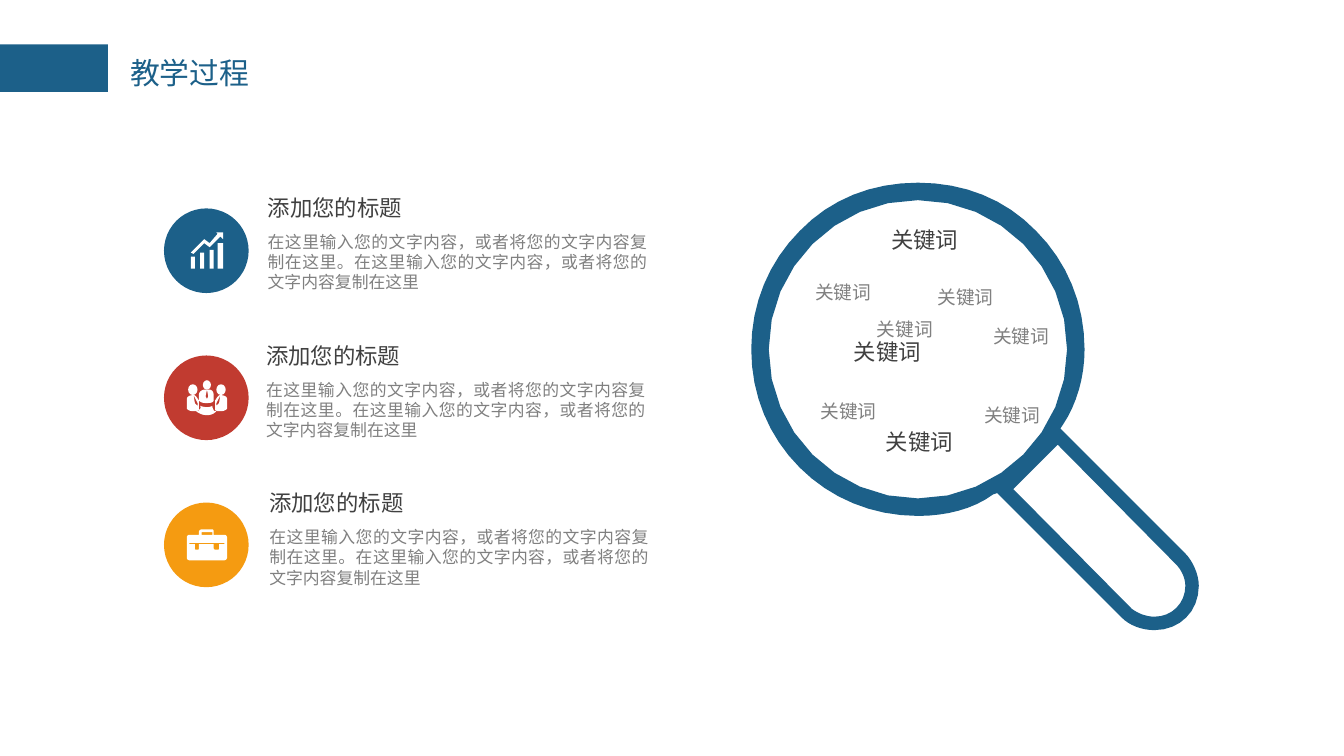
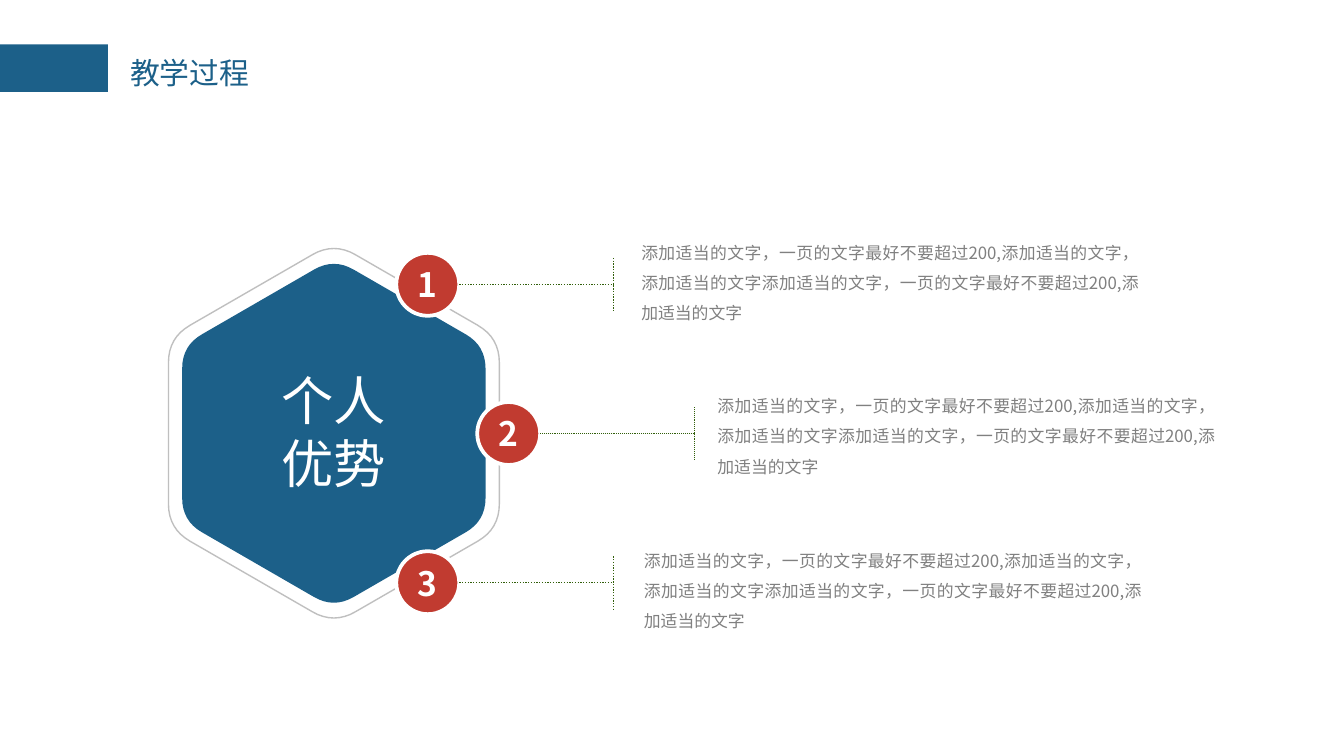
from math import cos, pi, sin

from lxml.etree import SubElement
from pptx import Presentation
from pptx.dml.color import RGBColor
from pptx.enum.dml import MSO_LINE
from pptx.enum.shapes import MSO_CONNECTOR, MSO_SHAPE
from pptx.enum.text import MSO_ANCHOR, MSO_AUTO_SIZE, PP_ALIGN
from pptx.oxml.ns import qn
from pptx.util import Cm, Pt

COLORS = {
    "blue": "1C6089", "red": "C13B30", "orange": "F59B11", "white": "FFFFFF",
    "dark": "404040", "grey": "808080", "outline": "BFBFBF", "green": "325F0B",
}
CJK_FONT = "Noto Sans CJK SC"
CURVE_STEPS = 8

ITEM_TITLE = "添加您的标题"
ITEM_TEXT = "在这里输入您的文字内容，或者将您的文字内容复制在这里"
ADVICE = "添加适当的文字，一页的文字最好不要超过200,添加适当的文字"

# Outlines are drawn on a grid of hundredths of an inch.
MAGNIFIER = """M 859 469 C 849 469 840 465 835 460 L 742 367 L 739 368
C 724 379 704 384 683 384 C 649 384 618 371 595 348 C 572 325 559 294 559 260
C 559 226 572 195 595 172 C 618 148 649 136 683 136 C 717 136 748 148 771 172
C 794 195 807 226 807 260 C 807 281 801 301 791 316 L 789 319 L 882 412
C 887 417 892 427 892 436 C 892 455 878 469 859 469
M 754 364 L 842 453 C 846 456 852 459 859 459 C 872 459 882 449 882 436
C 882 429 878 423 875 420 L 787 331
M 683 149 C 622 149 572 199 572 260 C 572 321 622 371 683 371
C 744 371 794 321 794 260 C 794 199 744 149 683 149"""
GROWTH_ARROW = """M 161 173 L 162 174 L 156 181 L 152 178 L 142 188 L 144 189
L 152 181 L 156 184 L 164 176 L 166 178 L 166 173"""
GROWTH_BARS = [(142, 191, 145), (149, 188, 152), (156, 186, 159), (162, 181, 166)]
BRIEFCASE = """M 167 405 L 163 405 L 163 408 C 163 409 163 409 162 409 L 160 409
C 160 409 159 409 159 408 L 159 405 L 148 405 L 148 408 C 148 409 148 409 147 409
L 146 409 C 145 409 145 409 145 408 L 145 405 L 141 405 L 141 404 L 167 404
M 150 396 L 158 396 L 158 398 L 150 398
M 167 398 L 159 398 L 159 396 C 159 395 159 394 158 394 L 150 394
C 149 394 148 395 148 396 L 148 398 L 141 398 C 140 398 139 399 139 400 L 139 415
C 139 416 140 417 141 417 L 167 417 C 168 417 169 416 169 415 L 169 400
C 169 399 168 398 167 398"""
SIDE_PERSON = """M 164 294 L 163 300 L 161 302 L 161 300 L 164 294
C 162 294 161 297 160 298 L 160 305 C 161 306 162 306 164 306
C 168 306 169 304 169 304 L 169 297 C 169 294 164 294 164 294"""
MIDDLE_PERSON = """M 153 300 L 154 300 C 158 300 159 299 159 298 L 159 294
C 159 291 157 290 156 290 L 154 290 L 155 295 L 154 297 L 153 295 L 154 290
L 152 290 C 151 290 148 291 148 294 L 148 298 C 148 298 149 300 153 300"""
TABLE = """M 159 305 C 158 304 158 302 158 302 C 158 302 157 303 154 303
C 151 303 149 302 149 302 C 149 302 150 304 148 305 C 148 306 147 306 146 306
C 146 306 149 309 154 309 C 159 309 161 306 161 306 C 160 306 159 306 159 305"""
MEETING_AXIS = 154


def grid(value):
    return Cm(value * 2.54 / 100)


def bezier(points):
    """Sample a quadratic or cubic curve, leaving out its first point."""
    samples = []
    for step in range(1, CURVE_STEPS + 1):
        level, t = points, step / CURVE_STEPS
        while len(level) > 1:
            level = [((1 - t) * ax + t * bx, (1 - t) * ay + t * by)
                     for (ax, ay), (bx, by) in zip(level, level[1:])]
        samples += level
    return samples


def contours(outline, mirror=None):
    """Turn M, L and C commands into closed rings of slide points."""
    rings, tokens = [], iter(outline.split())
    for command in tokens:
        count = 3 if command == "C" else 1
        points = [(int(next(tokens)), int(next(tokens))) for _ in range(count)]
        if command == "M":
            rings.append(points)
        elif command == "L":
            rings[-1] += points
        else:
            rings[-1] += bezier([rings[-1][-1]] + points)
    return [[(grid(2 * mirror - x if mirror else x), grid(y)) for x, y in ring]
            for ring in rings]


def rounded_hexagon(center_x, center_y, radius):
    corners = [(center_x + radius * sin(k * pi / 3), center_y - radius * cos(k * pi / 3))
               for k in range(6)]
    ring = []
    for k, (x, y) in enumerate(corners):
        before, after = corners[k - 1], corners[(k + 1) % 6]
        start, end = [(x + 0.13 * (nx - x), y + 0.13 * (ny - y)) for nx, ny in (before, after)]
        ring += [start] + bezier([start, (x, y), end])
    return [[(Cm(x), Cm(y)) for x, y in ring]]


class Deck:
    def __init__(self):
        self.presentation = Presentation()
        self.presentation.slide_width = Cm(25.4)
        self.presentation.slide_height = Cm(14.29)
        self.shapes = None

    def new_slide(self, title):
        layout = self.presentation.slide_layouts[6]
        self.shapes = self.presentation.slides.add_slide(layout).shapes
        self.shape(MSO_SHAPE.RECTANGLE, Cm(0), Cm(0.84), Cm(2.04), Cm(0.9), "blue")
        self.text(title, 2.26, 0.93, 2.67, 0.89, 16, "blue", PP_ALIGN.LEFT,
                  font="Calibri", inset=(0.2, 0.1), wrap=False)

    def paint(self, shape, fill=None, line=None, width=0.75):
        shape.shadow.inherit = False
        if fill:
            shape.fill.solid()
            shape.fill.fore_color.rgb = RGBColor.from_string(COLORS[fill])
        else:
            shape.fill.background()
        if line:
            shape.line.color.rgb = RGBColor.from_string(COLORS[line])
            shape.line.width = Pt(width)
        else:
            shape.line.fill.background()
        return shape

    def shape(self, preset, left, top, width, height, fill, line=None, line_width=0.75):
        shape = self.shapes.add_shape(preset, left, top, width, height)
        return self.paint(shape, fill, line, line_width)

    def outline(self, rings, fill=None, line=None):
        builder = None
        for ring in rings:
            if builder is None:
                builder = self.shapes.build_freeform(*ring[0], scale=1.0)
            else:
                builder.move_to(*ring[0])
            builder.add_line_segments(ring[1:], close=True)
        return self.paint(builder.convert_to_shape(), fill, line)

    def fill_frame(self, frame, words, size, color, align, font=CJK_FONT, bold=None,
                   inset=(0.18, 0.09), spacing=None):
        frame.margin_left = frame.margin_right = Cm(inset[0])
        frame.margin_top = frame.margin_bottom = Cm(inset[1])
        paragraph = frame.paragraphs[0]
        paragraph.alignment = align
        paragraph.line_spacing = spacing
        run = paragraph.add_run()
        run.text = words
        run.font.name = font
        SubElement(run.font._element, qn("a:ea"), typeface=CJK_FONT)
        run.font.size, run.font.bold = Pt(size), bold
        run.font.color.rgb = RGBColor.from_string(COLORS[color])

    def text(self, words, left, top, width, height, size, color, align,
             wrap=True, **style):
        frame = self.shapes.add_textbox(Cm(left), Cm(top), Cm(width), Cm(height)).text_frame
        frame.word_wrap = wrap
        frame.auto_size = MSO_AUTO_SIZE.SHAPE_TO_FIT_TEXT
        self.fill_frame(frame, words, size, color, align, **style)

    def badge(self, number, left, top, diameter):
        circle = self.shape(MSO_SHAPE.OVAL, Cm(left), Cm(top), Cm(diameter), Cm(diameter),
                            "red", "white", 2)
        circle.text_frame.vertical_anchor = MSO_ANCHOR.MIDDLE
        self.fill_frame(circle.text_frame, str(number), 18, "white", PP_ALIGN.CENTER, bold=True)

    def dotted_line(self, x1, y1, x2, y2, width):
        line = self.shapes.add_connector(MSO_CONNECTOR.STRAIGHT, Cm(x1), Cm(y1), Cm(x2), Cm(y2))
        line.line.color.rgb = RGBColor.from_string(COLORS["green"])
        line.line.width = Pt(width)
        line.line.dash_style = MSO_LINE.ROUND_DOT
        SubElement(line._element.spPr, qn("a:effectLst"))

    def head(self, left, top, width, height):
        self.shape(MSO_SHAPE.OVAL, grid(left), grid(top), grid(width), grid(height), "white")

    def growth_icon(self):
        bars = [f"M {left} {top} L {right} {top} L {right} 200 L {left} 200"
                for left, top, right in GROWTH_BARS]
        self.outline(contours(" ".join([GROWTH_ARROW] + bars)), "white")

    def meeting_icon(self):
        for mirror, head_left in ((None, 161), (MEETING_AXIS, 140)):
            self.outline(contours(SIDE_PERSON, mirror), "white")
            self.head(head_left, 286, 7, 8)
        for part in (TABLE, MIDDLE_PERSON):
            self.outline(contours(part), "white")
        self.head(151, 283, 6, 7)

    def briefcase_icon(self):
        self.outline(contours(BRIEFCASE), "white")


def build_keywords(deck):
    deck.new_slide("教学过程")
    deck.outline(contours(MAGNIFIER), "blue")
    items = [("blue", 4.88, deck.growth_icon), ("red", 4.85, deck.meeting_icon),
             ("orange", 4.91, deck.briefcase_icon)]
    for row, (color, left, draw_icon) in enumerate(items):
        deck.shape(MSO_SHAPE.OVAL, Cm(3.1), Cm(3.94 + 2.78 * row), Cm(1.6), Cm(1.6), color)
        draw_icon()
        top = 3.58 + 2.79 * row
        deck.text(ITEM_TITLE, left, top, 4.65, 0.71, 12, "dark", PP_ALIGN.JUSTIFY)
        deck.text(f"{ITEM_TEXT}。{ITEM_TEXT}", left, top + 0.71, 7.52, 1.35, 9, "grey",
                  PP_ALIGN.JUSTIFY)

    main_words = [(14.94, 6.3, 3.66), (15.98, 4.19, 3), (16.15, 8, 2.46)]
    minor_words = [(14.88, 5.21, 2.11), (17.35, 5.31, 1.8), (18.29, 7.54, 1.68),
                   (18.24, 6.05, 2.11), (15.14, 7.47, 1.8), (16.26, 5.92, 1.68)]
    for places, height, size, color in ((main_words, 0.71, 12, "dark"),
                                        (minor_words, 0.61, 10, "grey")):
        for left, top, width in places:
            deck.text("关键词", left, top, width, height, size, color, PP_ALIGN.CENTER)


def build_strengths(deck):
    deck.new_slide("教学过程")
    deck.outline(rounded_hexagon(6.31, 8.19, 3.31), "blue")
    deck.text("个人优势", 4.85, 6.96, 2.92, 2.39, 28, "white", PP_ALIGN.CENTER, inset=(0, 0))
    deck.outline(rounded_hexagon(6.31, 8.19, 3.61), line="outline")
    diameter = 1.19
    strengths = [(7.49, 12.12, 4.39, 0.75), (9.02, 13.56, 7.29, 0.5), (7.49, 12.17, 10.21, 0.75)]
    for row, (left, text_left, text_top, line_width) in enumerate(strengths):
        top = 4.78 + 2.82 * row
        middle, start = top + diameter / 2, left + diameter
        end = start + 2.92
        deck.badge(row + 1, left, top, diameter)
        deck.dotted_line(start, middle, end, middle, line_width)
        deck.dotted_line(end, middle - 0.5, end, middle + 0.5, line_width)
        deck.text(f"{ADVICE}，添加适当的文字{ADVICE}", text_left, text_top, 9.4, 1.73, 9, "grey",
                  PP_ALIGN.JUSTIFY, inset=(0, 0), spacing=1.5)


def main():
    deck = Deck()
    build_keywords(deck)
    build_strengths(deck)
    deck.presentation.save("out.pptx")


if __name__ == "__main__":
    main()
